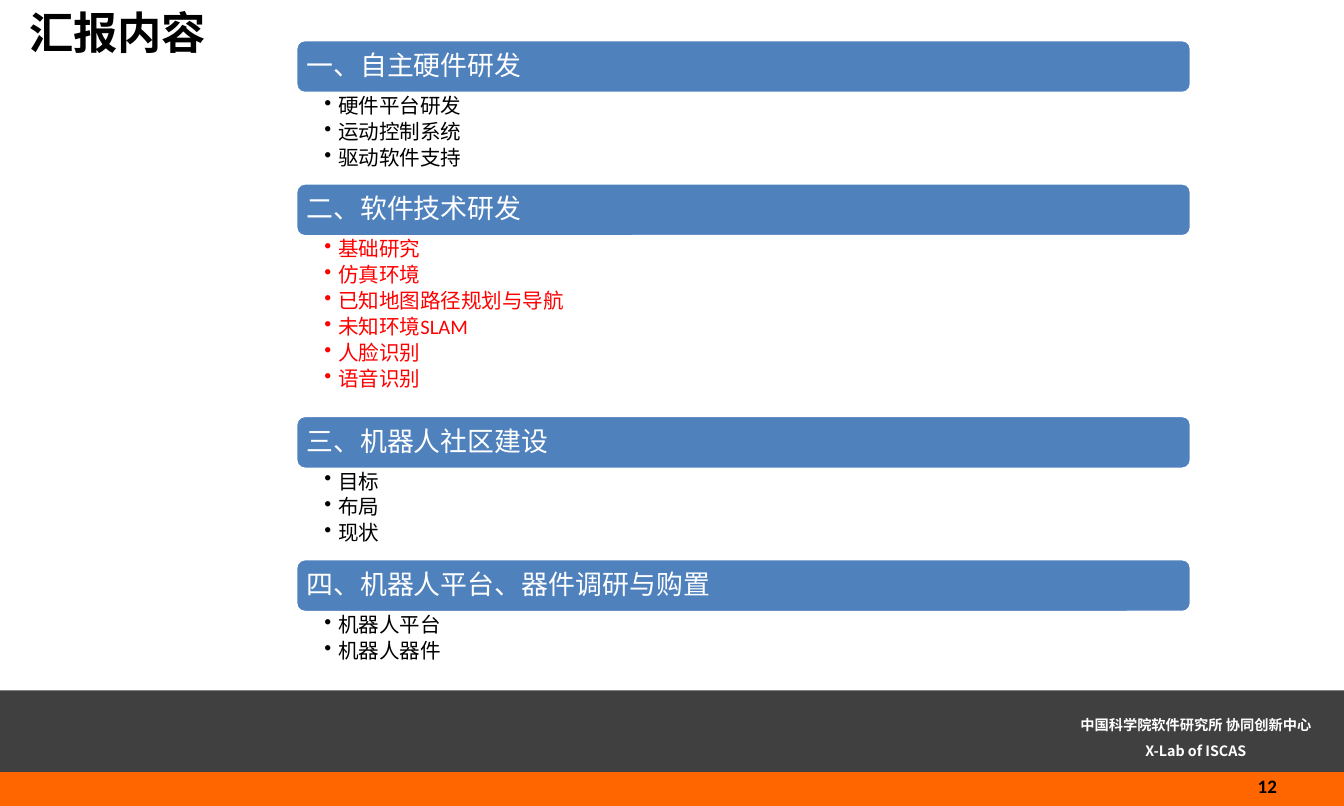
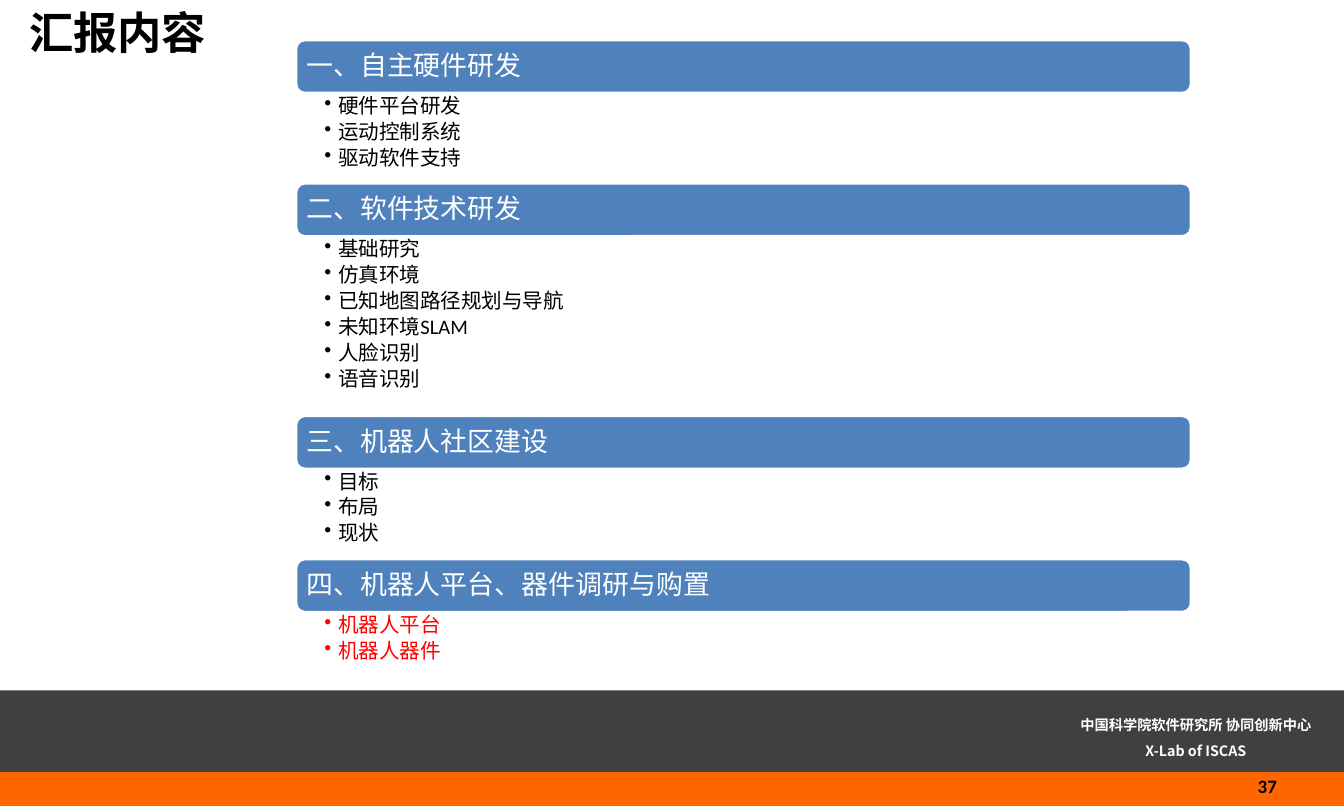
from lxml import etree
from pptx import Presentation
from pptx.dml.color import RGBColor
from pptx.enum.shapes import MSO_SHAPE
from pptx.enum.text import MSO_ANCHOR, PP_ALIGN
from pptx.oxml.ns import qn
from pptx.util import Pt

RECT, ROUNDED = MSO_SHAPE.RECTANGLE, MSO_SHAPE.ROUNDED_RECTANGLE
LEFT, CENTER, RIGHT = PP_ALIGN.LEFT, PP_ALIGN.CENTER, PP_ALIGN.RIGHT
TOP, MIDDLE = MSO_ANCHOR.TOP, MSO_ANCHOR.MIDDLE

BLACK = RGBColor(0x00, 0x00, 0x00)
WHITE = RGBColor(0xFF, 0xFF, 0xFF)
RED = RGBColor(0xFF, 0x00, 0x00)
BLUE = RGBColor(0x4F, 0x81, 0xBD)
GRAY = RGBColor(0x40, 0x40, 0x40)
ORANGE = RGBColor(0xFF, 0x66, 0x00)

BODY_FONT, FOOTER_FONT = "Calibri", "Noto Sans CJK SC"
WIDTH, HEIGHT = 850.4, 510.24
AGENDA_LEFT, AGENDA_TOP, AGENDA_WIDTH = 187.2, 25.2, 566.6
BAR_HEIGHT = 33.9

# Section heading, height of its list, list items
SECTIONS = [
    ("一、自主硬件研发", 56.8, ["硬件平台研发", "运动控制系统", "驱动软件支持"]),
    ("二、软件技术研发", 113.3, ["基础研究", "仿真环境", "已知地图路径规划与导航",
                         "未知环境SLAM", "人脸识别", "语音识别"]),
    ("三、机器人社区建设", 56.8, ["目标", "布局", "现状"]),
    ("四、机器人平台、器件调研与购置", 37.4, ["机器人平台", "机器人器件"]),
]
# Page number and index of the highlighted section
PAGES = [("12", 1), ("37", 3)]


def add_block(slide, box, kind, fill, line=None):
    block = slide.shapes.add_shape(kind, *map(Pt, box))
    block.shadow.inherit = False
    block.fill.solid()
    block.fill.fore_color.rgb = fill
    if line is None:
        block.line.fill.background()
    else:
        block.line.color.rgb = line
        block.line.width = Pt(2)
    return block


def write(shape, text, *, size, color=BLACK, bold=False, font=BODY_FONT,
          align=LEFT, anchor=TOP, insets=(7.2, 3.6, 7.2, 3.6),
          spacing=1.0, after=0, bullet=False):
    frame = shape.text_frame
    frame.word_wrap = True
    frame.vertical_anchor = anchor
    (frame.margin_left, frame.margin_top,
     frame.margin_right, frame.margin_bottom) = map(Pt, insets)
    frame.text = text
    for paragraph in frame.paragraphs:
        paragraph.alignment = align
        paragraph.line_spacing = spacing
        paragraph.space_after = Pt(after)
        if bullet:
            properties = paragraph._p.get_or_add_pPr()
            properties.set("marL", str(Pt(9)))
            properties.set("indent", str(-Pt(9)))
            etree.SubElement(properties, qn("a:buChar")).set("char", "•")
        for run in paragraph.runs:
            run.font.size = Pt(size)
            run.font.bold = bold
            run.font.color.rgb = color
            run.font.name = font
            east_asian = etree.SubElement(run._r.get_or_add_rPr(), qn("a:ea"))
            east_asian.set("typeface", font)


prs = Presentation()
prs.slide_width, prs.slide_height = Pt(WIDTH), Pt(HEIGHT)
blank = prs.slide_layouts[6]

for page_number, current in PAGES:
    slide = prs.slides.add_slide(blank)

    # Footer bands, affiliation and page number
    add_block(slide, (0, 437, WIDTH, 52), RECT, GRAY)
    add_block(slide, (0, 488.8, WIDTH, HEIGHT - 488.8), RECT, ORANGE)
    affiliation = slide.shapes.add_textbox(Pt(663), Pt(444.2), Pt(187.2), Pt(40.3))
    write(affiliation, "中国科学院软件研究所 协同创新中心\nX-Lab of ISCAS", size=9,
          color=WHITE, bold=True, font=FOOTER_FONT, align=CENTER, spacing=Pt(16.5))
    number = slide.shapes.add_textbox(Pt(623.5), Pt(484), Pt(191.5), Pt(27.2))
    write(number, page_number, size=12, bold=True, align=RIGHT, anchor=MIDDLE)

    # Title
    title = slide.shapes.add_textbox(Pt(11.5), Pt(0), Pt(244), Pt(41))
    write(title, "汇报内容", size=28, bold=True)

    # Agenda: heading bars with their lists
    top = AGENDA_TOP
    for index, (heading, list_height, items) in enumerate(SECTIONS):
        bar = add_block(slide, (AGENDA_LEFT, top, AGENDA_WIDTH, BAR_HEIGHT),
                        ROUNDED, BLUE, line=WHITE)
        write(bar, heading, size=17, color=WHITE, anchor=MIDDLE,
              insets=(5, 5, 5, 5), spacing=0.9)
        top += BAR_HEIGHT
        topics = slide.shapes.add_textbox(Pt(AGENDA_LEFT), Pt(top),
                                          Pt(AGENDA_WIDTH), Pt(list_height))
        write(topics, "\n".join(items), size=13,
              color=RED if index == current else BLACK,
              insets=(18, 1.4, 9.4, 1.4), spacing=0.9, after=2.35, bullet=True)
        top += list_height

prs.save("out.pptx")
